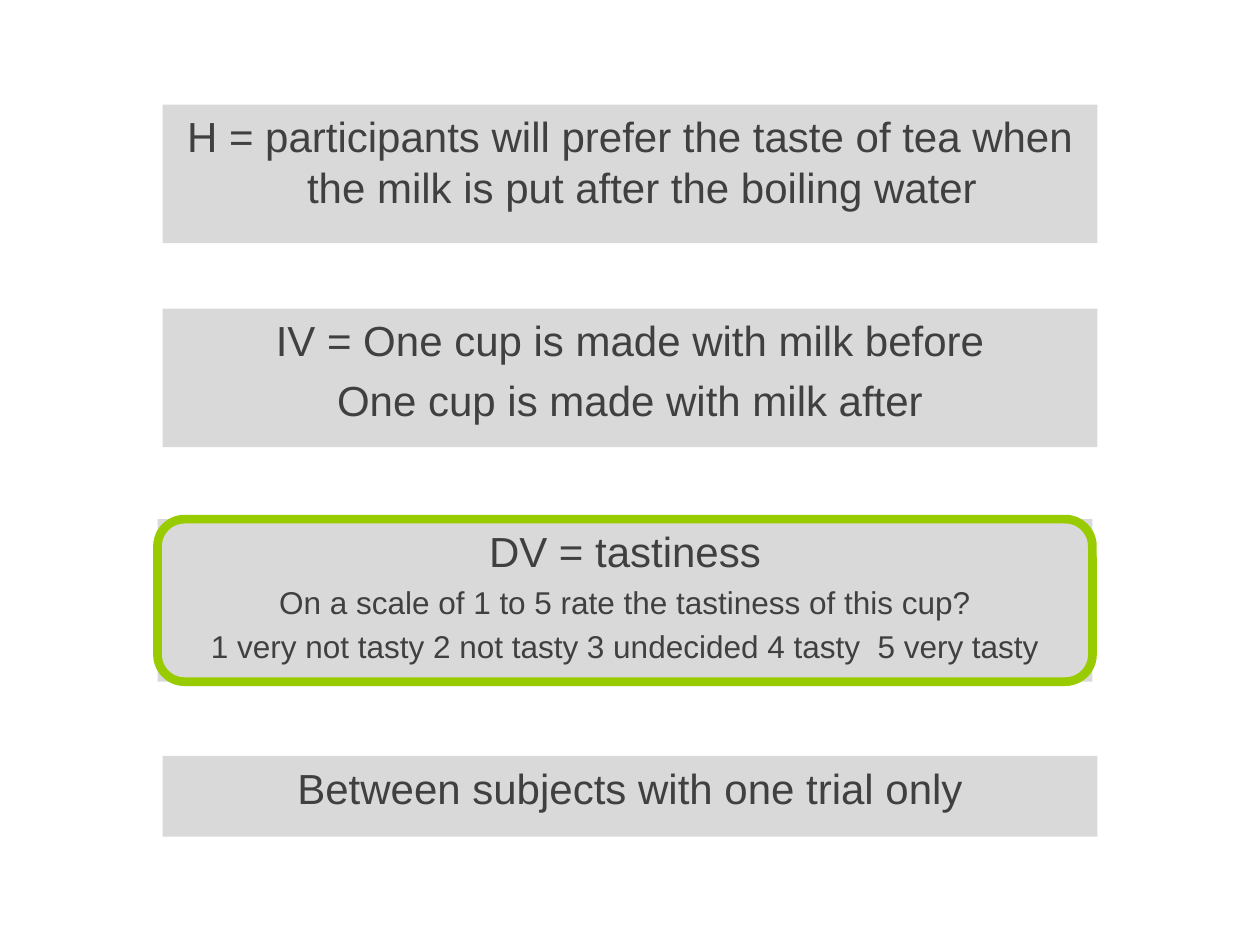
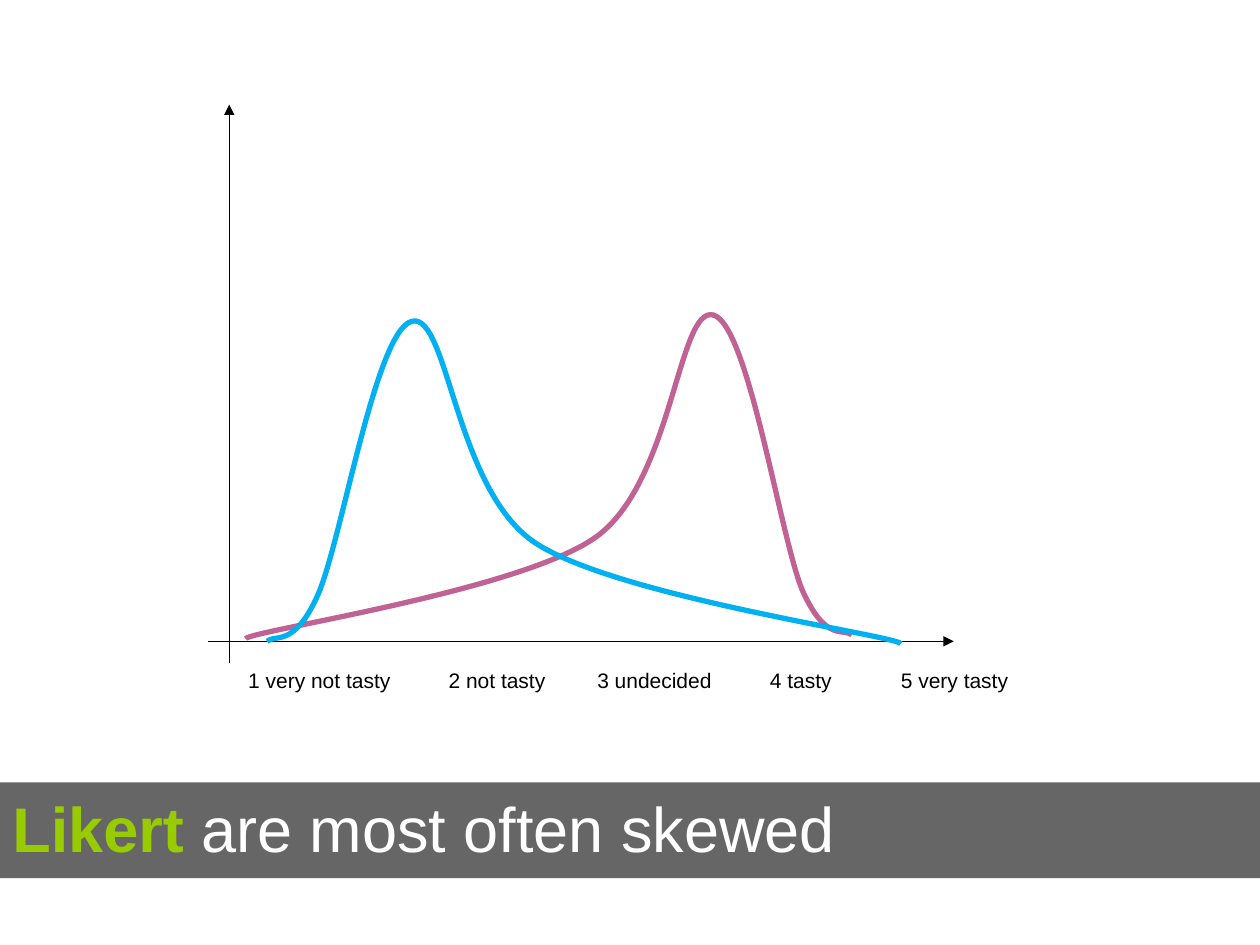
from lxml.etree import SubElement
from pptx import Presentation
from pptx.dml.color import RGBColor
from pptx.enum.shapes import MSO_CONNECTOR, MSO_SHAPE
from pptx.enum.text import MSO_ANCHOR, PP_ALIGN
from pptx.oxml.ns import qn
from pptx.util import Inches, Pt

COLORS = {
    "panel": "D9D9D9", "text": "404040", "accent": "99CC00", "black": "000000",
    "white": "FFFFFF", "pink": "C06293", "blue": "00B0F0",
}
FONT = "Arial"

PANELS = [
    ((1.29, 0.83, 7.42, 1.1),
     [("H = participants will prefer the taste of tea when the milk is put after the boiling water", 24)]),
    ((1.29, 2.45, 7.42, 1.1),
     [("IV = One cup is made with milk before", 24), ("One cup is made with milk after", 24)]),
    ((1.25, 4.12, 7.42, 1.29),
     [("DV = tastiness", 24),
      ("On a scale of 1 to 5 rate the tastiness of this cup?", 18),
      ("1 very not tasty 2 not tasty 3 undecided 4 tasty  5 very tasty", 18)]),
    ((1.29, 6, 7.42, 0.64), [("Between subjects with one trial only", 24)]),
]
RATING = PANELS[2][0]

RIGHT_PEAK = [
    (0.13, 0.02), (0.14, 0.08), (2.28, 0.39), (2.9, 0.82), (3.52, 1.25), (3.56, 2.66), (3.84, 2.59),
    (4.12, 2.52), (4.37, 0.83), (4.55, 0.4), (4.74, -0.02), (4.88, 0.11), (4.94, 0.05),
]
LEFT_PEAK = [
    (5.33, -0.02), (5.32, 0.04), (3.08, 0.35), (2.43, 0.78), (1.79, 1.2), (1.74, 2.61), (1.45, 2.54),
    (1.16, 2.47), (0.89, 0.78), (0.7, 0.36), (0.51, -0.06), (0.36, 0.06), (0.3, 0),
]
SCALE = ["1 very not tasty", "2 not tasty", "3 undecided", "4 tasty", "5 very tasty"]
STOPS = [1.59, 2.77, 4.14, 5.18]


def color(name):
    """Return the named colour."""
    return RGBColor.from_string(COLORS[name])


def style(run, size, tint, bold=False):
    """Set the font of a run."""
    run.font.name = FONT
    run.font.size = Pt(size)
    run.font.bold = bold
    run.font.color.rgb = color(tint)


def paint(shape, fill=None, line=None, width=1):
    """Set fill and line of a shape and remove its shadow."""
    shape.shadow.inherit = False
    if fill:
        shape.fill.solid()
        shape.fill.fore_color.rgb = color(fill)
    else:
        shape.fill.background()
    if line:
        shape.line.color.rgb = color(line)
        shape.line.width = Pt(width)
    else:
        shape.line.fill.background()


def block(slide, box, kind=MSO_SHAPE.RECTANGLE, **look):
    """Add a painted preset shape in the given box."""
    shape = slide.shapes.add_shape(kind, *map(Inches, box))
    paint(shape, **look)
    return shape


def panel(slide, box, lines):
    """Add a grey panel with centred lines of text."""
    frame = block(slide, box, fill="panel").text_frame
    frame.word_wrap = True
    frame.vertical_anchor = MSO_ANCHOR.TOP
    frame.text = "\n".join(text for text, size in lines)
    for para, (text, size) in zip(frame.paragraphs, lines):
        para.alignment = PP_ALIGN.CENTER
        para.space_before = Pt(size * 0.22)
        props = para._p.get_or_add_pPr()
        props.set("marL", str(Inches(0.19)))
        props.set("indent", str(-Inches(0.19)))
        style(para.runs[0], size, "text")


def banner(slide, box, key, rest):
    """Add a translucent title band with a highlighted first word."""
    shape = block(slide, box, fill="black")
    tone = shape.fill._xPr.find(qn("a:solidFill"))[0]
    SubElement(tone, qn("a:alpha"), val="60000")
    frame = shape.text_frame
    frame.word_wrap = True
    frame.vertical_anchor = MSO_ANCHOR.BOTTOM
    frame.margin_bottom = Inches(0.1)
    para = frame.paragraphs[0]
    para.alignment = PP_ALIGN.LEFT
    for text, tint, bold in ((key, "accent", True), (rest, "white", False)):
        run = para.add_run()
        run.text = text
        style(run, 36, tint, bold)


def arrow(slide, start, end):
    """Add a thin black axis with an arrowhead at its end."""
    line = slide.shapes.add_connector(MSO_CONNECTOR.STRAIGHT, *map(Inches, start + end))
    line.line.color.rgb = color("black")
    line.line.width = Pt(0.75)
    SubElement(line.line._get_or_add_ln(), qn("a:tailEnd"), type="triangle")
    SubElement(line._element.spPr, qn("a:effectLst"))


def curve(slide, origin, nodes, tint):
    """Draw an open chain of cubic curves measured from the origin of the axes."""
    left, base = origin
    points = [(Inches(left + x), Inches(base - y)) for x, y in nodes]
    builder = slide.shapes.build_freeform(*points[0])
    builder.add_line_segments(points[3::3], close=False)
    shape = builder.convert_to_shape()
    paint(shape, line=tint, width=3)
    for i, part in enumerate(list(shape._element.iter(qn("a:lnTo")))):
        part.tag = qn("a:cubicBezTo")
        part.remove(part[0])
        for x, y in points[3 * i + 1:3 * i + 4]:
            SubElement(part, qn("a:pt"), x=str(x - shape.left), y=str(y - shape.top))


def legend(slide, box):
    """Add the row of scale labels, spaced by tab stops."""
    frame = slide.shapes.add_textbox(*map(Inches, box)).text_frame
    frame.word_wrap = True
    frame.margin_left = Inches(0.77)
    frame.text = "\t".join(SCALE)
    para = frame.paragraphs[0]
    tabs = SubElement(para._p.get_or_add_pPr(), qn("a:tabLst"))
    for stop in STOPS:
        SubElement(tabs, qn("a:tab"), pos=str(Inches(stop)), algn="l")
    style(para.runs[0], 12, "black")


def plot(slide, origin):
    """Draw the axes, the two skewed curves and the scale labels."""
    left, base = origin
    curve(slide, origin, RIGHT_PEAK, "pink")
    arrow(slide, (left - 0.17, base), (left + 5.75, base))
    arrow(slide, (left, base + 0.17), (left, base - 4.26))
    legend(slide, (left - 0.62, base + 0.16, 7.59, 0.3))
    curve(slide, origin, LEFT_PEAK, "blue")


def design(slide):
    """Fill the slide that lists the parts of the experiment."""
    for box, lines in PANELS:
        panel(slide, box, lines)
    block(slide, RATING, MSO_SHAPE.ROUNDED_RECTANGLE, line="accent", width=5)


def skew(slide):
    """Fill the slide that shows the skewed ratings."""
    banner(slide, (0, 6.21, 10, 0.76), "Likert ", "are most often skewed")
    plot(slide, (1.82, 5.09))


def main():
    """Build and save the slides."""
    deck = Presentation()
    deck.slide_width, deck.slide_height = Inches(10), Inches(7.5)
    for fill in (design, skew):
        fill(deck.slides.add_slide(deck.slide_layouts[6]))
    deck.save("out.pptx")


if __name__ == "__main__":
    main()
